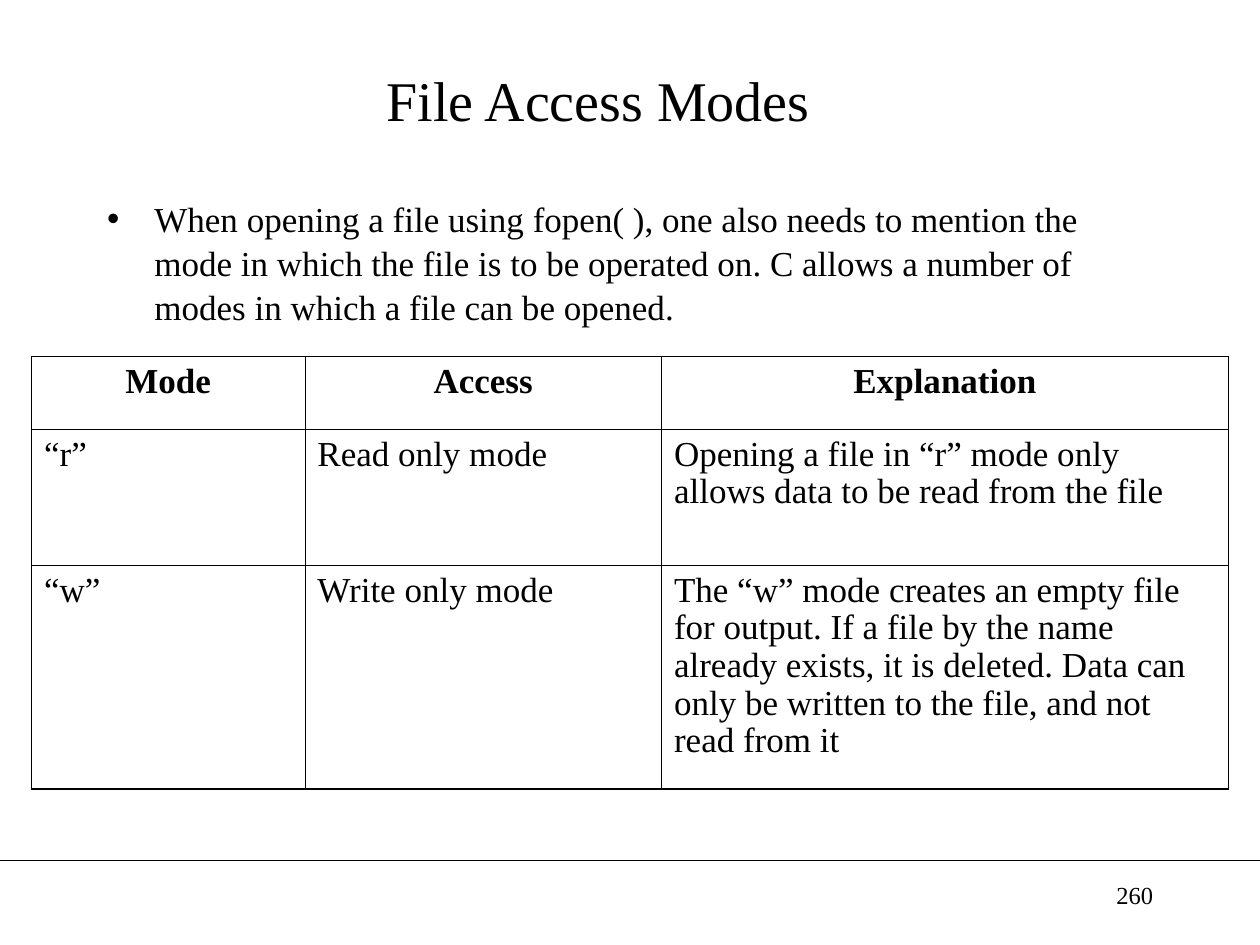
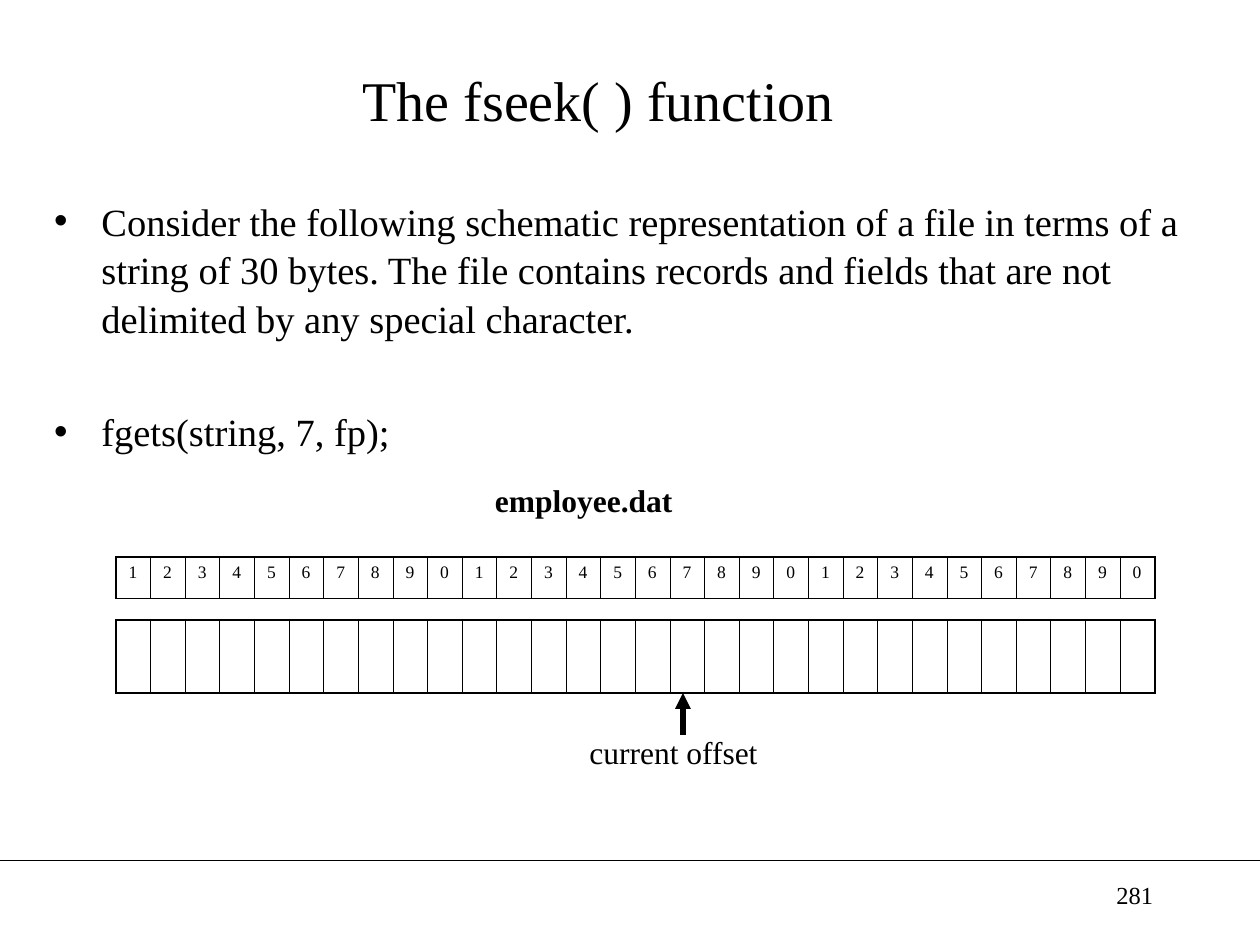
from lxml import etree
from pptx import Presentation
from pptx import util as u
from pptx.dml.color import RGBColor
from pptx.enum import shapes, text
from pptx.oxml.ns import qn

Inches, Pt = u.Inches, u.Pt
FONT, BLACK = "Times New Roman", "000000"
OUTER, INNER = 1.08, 0.45  # table border widths in points
LEFT, CENTER, RIGHT = text.PP_ALIGN.LEFT, text.PP_ALIGN.CENTER, text.PP_ALIGN.RIGHT


def style(paragraph, size, bold=False, align=LEFT, spacing=1.05, color=BLACK):
    paragraph.alignment = align
    paragraph.line_spacing = spacing
    paragraph.space_before = Pt(0)
    for run in paragraph.runs:
        run.font.name = FONT
        run.font.size = Pt(size)
        run.font.bold = bold
        run.font.color.rgb = RGBColor.from_string(color)


def add_grid(slide, left, top, widths, heights, rows, size, header=False):
    frame = slide.shapes.add_table(len(heights), len(widths), Inches(left), Inches(top),
                                   Inches(sum(widths)), Inches(sum(heights)))
    table = frame.table
    table.first_row = table.horz_banding = False
    for column, width in zip(table.columns, widths):
        column.width = Inches(width)
    for row, height in zip(table.rows, heights):
        row.height = Inches(height)
    last_row, last_column = len(heights) - 1, len(widths) - 1
    for r, values in enumerate(rows):
        for c, value in enumerate(values):
            cell = table.cell(r, c)
            heading = header and r == 0
            if value:
                cell.text_frame.text = value
                style(cell.text_frame.paragraphs[0], size, heading,
                      CENTER if heading else LEFT, 0.97)
            properties = cell._tc.get_or_add_tcPr()
            edges = {"lnL": c == 0, "lnR": c == last_column,
                     "lnT": r == 0, "lnB": r == last_row}
            for tag, outside in edges.items():
                border = etree.SubElement(properties, qn("a:" + tag),
                                          w=str(Pt(OUTER if outside else INNER)))
                fill = etree.SubElement(border, qn("a:solidFill"))
                etree.SubElement(fill, qn("a:srgbClr"), val=BLACK)
            cell.fill.background()


presentation = Presentation()
presentation.slide_width, presentation.slide_height = Inches(10), Inches(7.5)

# Content: title, body box, text size, bullets, then text boxes
# (wording, left, top, width, height, size, bold, alignment)
NUMBER_BOX = (7.17, 6.92, 2.08, 0.5, 14, False, RIGHT)
pages = [
    ("File Access Modes", (0.75, 1.5, 8.25, 1.17), 20,
     ["When opening a file using fopen( ), one also needs to mention the mode in which "
      "the file is to be operated on. C allows a number of modes in which a file can be opened."],
     [("260", *NUMBER_BOX)]),
    ("The fseek( ) function", (0.33, 1.5, 9.25, 3), 22,
     ["Consider the following schematic representation of a file in terms of a string of "
      "30 bytes. The file contains records and fields that are not delimited by any special "
      "character.",
      "fgets(string, 7, fp);"],
     [("current offset", 4.58, 5.75, 1.75, 0.4, 18, False, LEFT),
      ("employee.dat", 3.83, 3.75, 1.75, 0.4, 18, True, LEFT),
      ("281", *NUMBER_BOX)]),
]

# Shared parts of both slides
slides, lines = [], []
for title_text, body_box, body_size, bullets, labels in pages:
    slide = presentation.slides.add_slide(presentation.slide_layouts[1])
    slides.append(slide)

    # Footer rule
    rule = slide.shapes.add_connector(shapes.MSO_CONNECTOR.STRAIGHT,
                                      0, Inches(6.83), Inches(10), Inches(6.83))
    lines.append((rule, 0.75))

    # Title
    title = slide.shapes.title
    title.left, title.top, title.width, title.height = map(Inches, (0.5, 0.25, 8.5, 1.08))
    title.text_frame.text = title_text
    title.text_frame.auto_size = text.MSO_AUTO_SIZE.NONE
    title.text_frame.vertical_anchor = text.MSO_ANCHOR.MIDDLE
    style(title.text_frame.paragraphs[0], 32, align=CENTER, spacing=1.0)

    # Bulleted list
    body = slide.placeholders[1]
    body.left, body.top, body.width, body.height = map(Inches, body_box)
    body.text_frame.text = "\n".join(bullets)
    body.text_frame.auto_size = text.MSO_AUTO_SIZE.NONE
    for index, paragraph in enumerate(body.text_frame.paragraphs):
        style(paragraph, body_size)
        if index:
            paragraph.space_before = Pt(37)

    # Labels and slide number
    for wording, left, top, width, height, size, bold, align in labels:
        box = slide.shapes.add_textbox(*map(Inches, (left, top, width, height)))
        box.text_frame.word_wrap = True
        box.text_frame.text = wording
        style(box.text_frame.paragraphs[0], size, bold, align)

modes_slide, fseek_slide = slides

# File access modes table
add_grid(modes_slide, 0.25, 2.83, [2.17, 2.83, 4.5], [0.58, 1.08, 1.77], [
    ["Mode", "Access", "Explanation"],
    ["“r”", "Read only mode",
     "Opening a file in “r” mode only allows data to be read from the file"],
    ["“w”", "Write only mode",
     "The “w” mode creates an empty file for output. If a file by the name already exists, "
     "it is deleted. Data can only be written to the file, and not read from it"],
], 20, header=True)

# Byte positions above the 30 bytes of the file
byte_count = 30
byte_widths = [8.25 / byte_count] * byte_count
positions = [str(number % 10) for number in range(1, byte_count + 1)]
add_grid(fseek_slide, 0.92, 4.42, byte_widths, [0.33], [positions], 10)
add_grid(fseek_slide, 0.92, 4.92, byte_widths, [0.58], [[""] * byte_count], 10)

# Current offset arrow
arrow = fseek_slide.shapes.add_connector(shapes.MSO_CONNECTOR.STRAIGHT, Inches(5.42),
                                         Inches(5.83), Inches(5.42), Inches(5.5))
lines.append((arrow, 3))

# Line formats
for connector, width in lines:
    connector.line.width = Pt(width)
    connector.line.color.rgb = RGBColor.from_string(BLACK)
    etree.SubElement(connector._element.spPr, qn("a:effectLst"))
etree.SubElement(arrow.line._get_or_add_ln(), qn("a:tailEnd"), type="triangle")

presentation.save("out.pptx")
